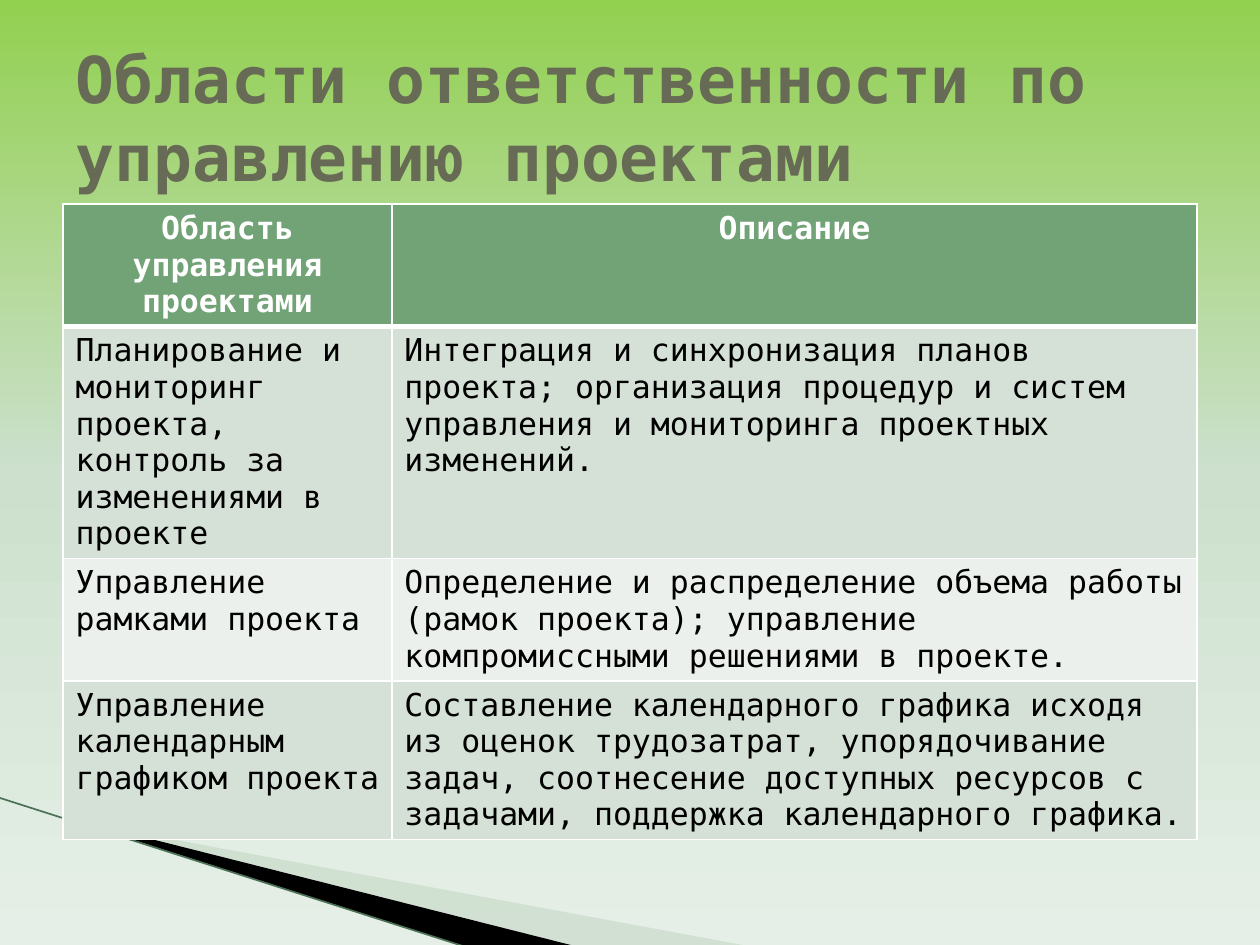
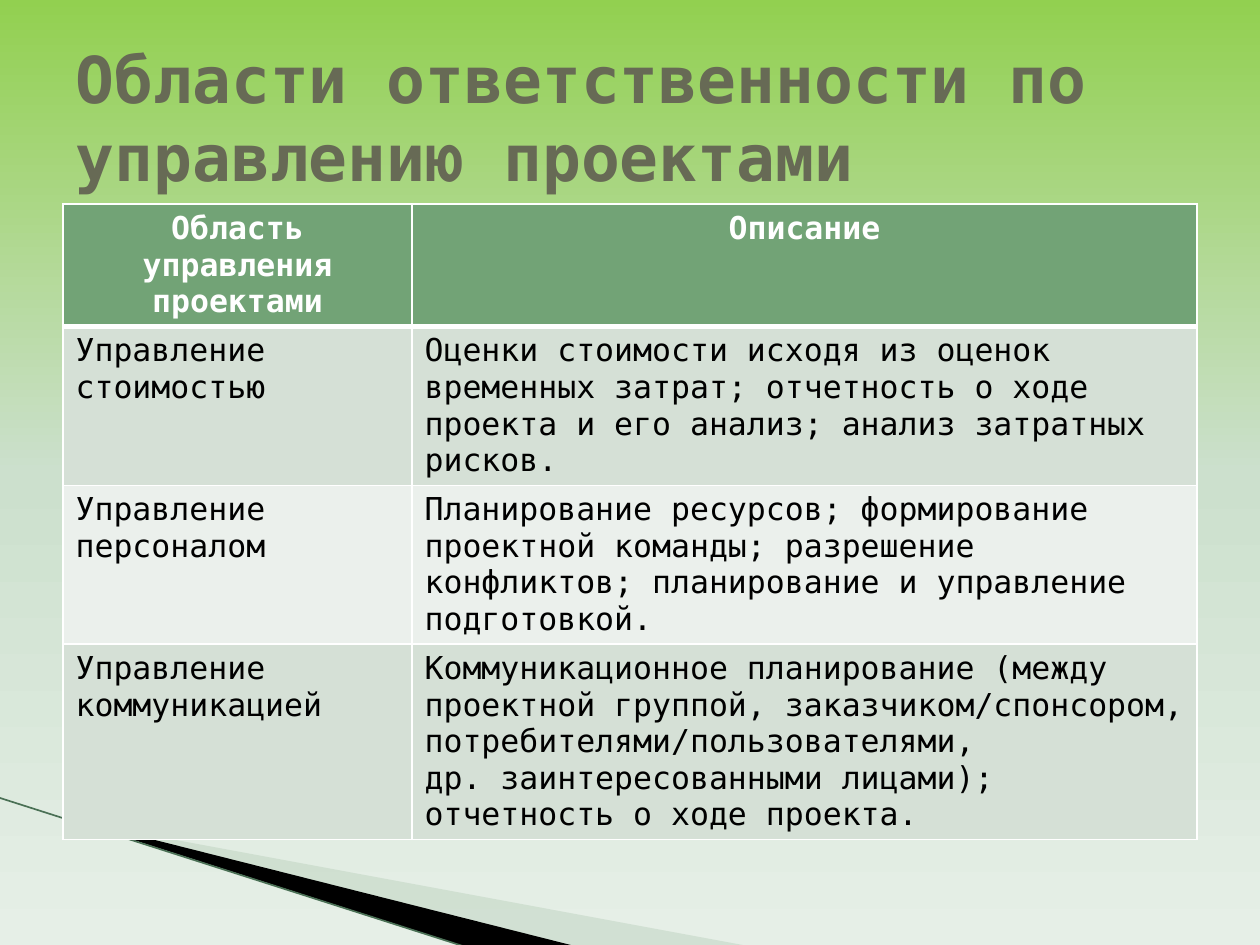
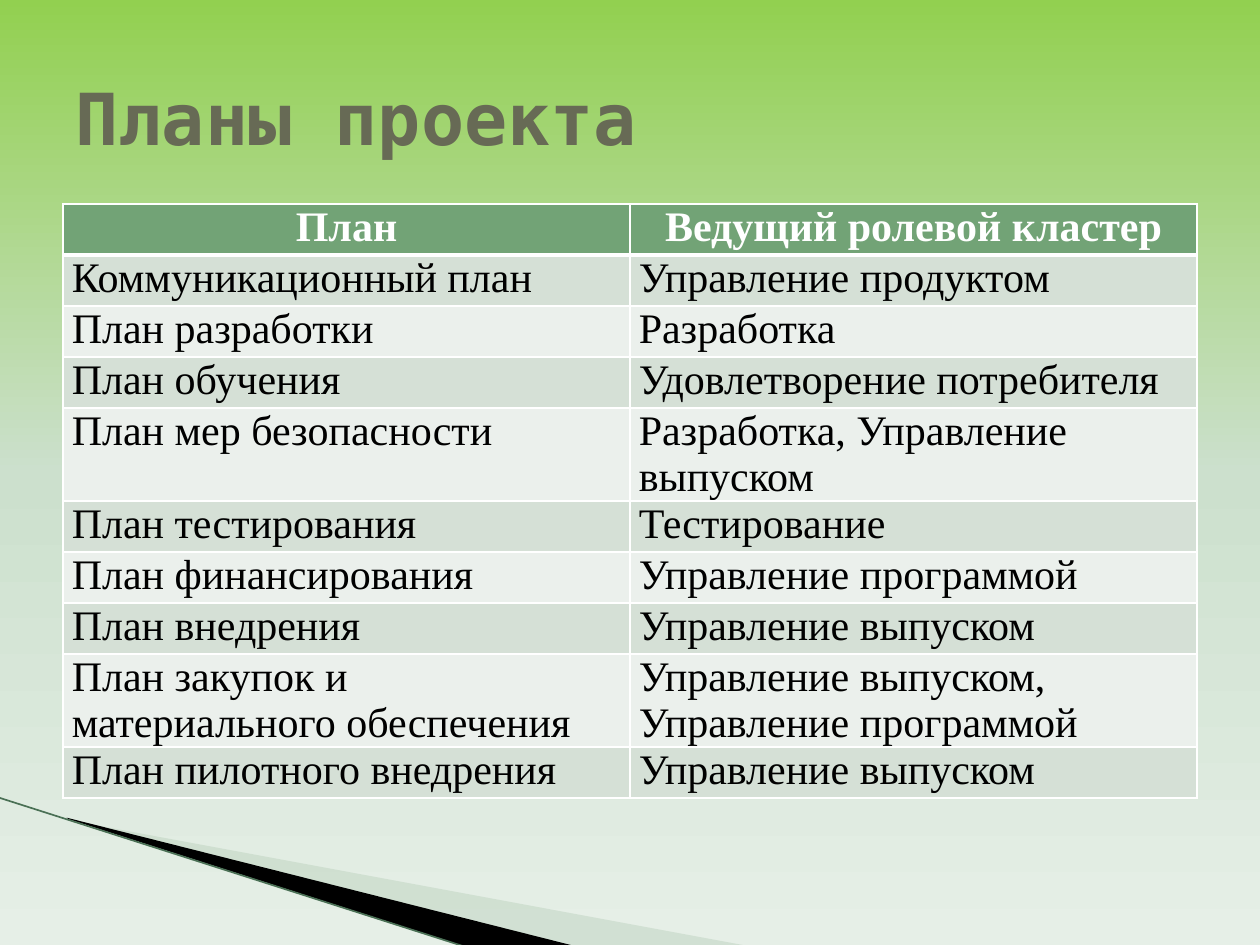
from copy import deepcopy
from dataclasses import dataclass

from lxml import etree
from pptx import Presentation
from pptx import util as u
from pptx.dml.color import RGBColor
from pptx.enum import shapes, text
from pptx.oxml import ns


@dataclass(frozen=True)
class Theme:
    mono: str = "DejaVu Sans Mono"
    serif: str = "Times New Roman"
    title: str = "676A55"
    head: str = "72A376"
    odd: str = "D5E0D6"
    even: str = "EBF0EC"
    white: str = "FFFFFF"
    black: str = "000000"
    wedge: str = "B3CBB5"
    edge: str = "4A7055"
    sky: tuple = ((0, "92D050"), (0.5, "CCE0CD"), (1, "E6EFE7"))
    large: float = 41
    medium: float = 36.9
    plan: float = 24
    body: float = 18


T = Theme()
HARD = chr(160)
AREAS = "Области ответственности по управлению проектами"
HEAD = ("Область управления проектами", "Описание")

SCOPE = (
    HEAD,
    ("Планирование и мониторинг проекта, контроль за изменениями в проекте",
     "Интеграция и синхронизация планов проекта; организация процедур и систем "
     "управления и мониторинга проектных изменений."),
    ("Управление рамками проекта",
     "Определение и распределение объема работы (рамок проекта); управление "
     "компромиссными решениями в проекте."),
    ("Управление календарным графиком проекта",
     "Составление календарного графика исходя из оценок трудозатрат, упорядочивание "
     "задач, соотнесение доступных ресурсов с задачами, поддержка календарного графика."),
)

COSTS = (
    HEAD,
    ("Управление стоимостью",
     "Оценки стоимости исходя из оценок временных затрат; отчетность о ходе проекта "
     "и его анализ; анализ затратных рисков."),
    ("Управление персоналом",
     "Планирование ресурсов; формирование проектной команды; разрешение конфликтов; "
     "планирование и управление подготовкой."),
    ("Управление коммуникацией",
     "Коммуникационное планирование (между проектной группой, заказчиком/спонсором, "
     f"потребителями/пользователями, др.{HARD}заинтересованными лицами); "
     f"отчетность о{HARD}ходе{HARD}проекта."),
)

PLANS = (
    ("План", "Ведущий ролевой кластер"),
    ("Коммуникационный план", "Управление продуктом"),
    ("План разработки", "Разработка"),
    ("План обучения", "Удовлетворение потребителя"),
    ("План мер безопасности", "Разработка, Управление выпуском"),
    ("План тестирования", "Тестирование"),
    ("План финансирования", "Управление программой"),
    ("План внедрения", "Управление выпуском"),
    ("План закупок и материального обеспечения",
     "Управление выпуском, Управление программой"),
    ("План пилотного внедрения", "Управление выпуском"),
)


def rgb(color):
    return RGBColor.from_string(color)


def write(frame, words, size, font=T.mono, color=T.black, bold=False,
          align=text.PP_ALIGN.LEFT, after=0):
    frame.text = words
    para = frame.paragraphs[0]
    para.alignment = align
    para.space_after = u.Pt(after)
    style = para.runs[0].font
    style.name, style.size, style.bold = font, u.Pt(size), bold
    style.color.rgb = rgb(color)


def paint(layout):
    fill = layout.background.fill
    fill.gradient()
    fill.gradient_angle = 270
    stops = layout.element.find(".//" + ns.qn("a:gsLst"))
    stops.append(deepcopy(stops[-1]))
    for stop, (place, color) in zip(fill.gradient_stops, T.sky):
        stop.position = place
        stop.color.rgb = rgb(color)


def reframe(shape, box):
    left, top, width, height = map(u.Inches, box)
    right, down = shape.left - left, shape.top - top
    outline = shape.element.spPr.find(".//" + ns.qn("a:path"))
    outline.set("w", str(width))
    outline.set("h", str(height))
    for dot in outline.iter(ns.qn("a:pt")):
        dot.set("x", str(int(dot.get("x")) + right))
        dot.set("y", str(int(dot.get("y")) + down))
    shape.left, shape.top, shape.width, shape.height = left, top, width, height


def wedge(slide, box, points, color, alpha=None):
    dots = [(u.Inches(x), u.Inches(y)) for x, y in points]
    maker = slide.shapes.build_freeform(*dots[0])
    maker.add_line_segments(dots[1:], close=True)
    shape = maker.convert_to_shape()
    reframe(shape, box)
    shape.shadow.inherit = False
    shape.fill.solid()
    shape.fill.fore_color.rgb = rgb(color)
    shape.line.fill.background()
    if alpha:
        tint = shape.element.spPr.find(".//" + ns.qn("a:srgbClr"))
        etree.SubElement(tint, ns.qn("a:alpha"), val=str(alpha * 1000))
    return shape


def rule(slide, start, end, color, width):
    line = slide.shapes.add_connector(
        shapes.MSO_CONNECTOR.STRAIGHT, *map(u.Inches, start + end))
    line.line.color.rgb = rgb(color)
    line.line.width = u.Pt(width)
    etree.SubElement(line.element.spPr, ns.qn("a:effectLst"))
    return line


def decor(slide):
    layout = slide.slide_layout
    paint(layout)
    parts = (
        wedge(slide, (0.78, 5.47, 4.16, 1.58),
              ((0.55, 6.51), (5.95, 7.51), (4.56, 7.51), (0.55, 6.5)), T.wedge, 40),
        wedge(slide, (-0.06, 6.33, 4.16, 0.92),
              ((0.53, 6.49), (4.57, 7.51), (3.72, 7.52), (0.54, 6.5)), T.black),
        rule(slide, (-0.01, 6.33), (3.71, 7.52), T.edge, 0.95),
    )
    for part in parts:
        layout.shapes.element.append(part.element)


def title(slide, words, size):
    box = slide.shapes.title
    box.left, box.top, box.width, box.height = map(u.Inches, (0.5, 0.3, 9, 1.25))
    frame = box.text_frame
    frame.word_wrap = True
    frame.auto_size = text.MSO_AUTO_SIZE.NONE
    frame.vertical_anchor = text.MSO_ANCHOR.MIDDLE
    write(frame, words, size, color=T.title, bold=True)


def border(cell, row):
    widths = {"L": 1, "R": 1, "T": 3 if row == 1 else 1, "B": 3 if row == 0 else 1}
    props = cell._tc.get_or_add_tcPr()
    for side, width in widths.items():
        line = etree.SubElement(props, ns.qn("a:ln" + side), w=str(u.Pt(width)))
        fill = etree.SubElement(line, ns.qn("a:solidFill"))
        etree.SubElement(fill, ns.qn("a:srgbClr"), val=T.white)


def grid(slide, rows, cols, height, size, font=T.mono, after=0, inset=None):
    frame = slide.shapes.add_table(
        len(rows), len(cols), *map(u.Inches, (0.5, 1.62, 9, height)))
    table = frame.table
    for col, width in zip(table.columns, cols):
        col.width = u.Inches(width)
    for r, words in enumerate(rows):
        table.rows[r].height = u.Inches(0.81) // 2
        top = r == 0
        for c, word in enumerate(words):
            cell = table.cell(r, c)
            border(cell, r)
            cell.fill.solid()
            cell.fill.fore_color.rgb = rgb(T.head if top else T.odd if r % 2 else T.even)
            if inset:
                cell.margin_left = cell.margin_right = u.Inches(inset)
                cell.margin_top = cell.margin_bottom = 0
            write(cell.text_frame, word, size, font=font, bold=top, after=after,
                  color=T.white if top else T.black,
                  align=text.PP_ALIGN.CENTER if top else text.PP_ALIGN.LEFT)
    frame.height = u.Inches(height)


def main():
    deck = Presentation()
    deck.slide_width, deck.slide_height = u.Inches(10), u.Inches(7.5)
    layout = deck.slide_layouts[5]
    scope, costs, plans = [deck.slides.add_slide(layout) for _ in range(3)]
    decor(scope)

    title(scope, AREAS, T.medium)
    grid(scope, SCOPE, (2.61, 6.39), 4.9, T.body)

    title(costs, AREAS, T.medium)
    grid(costs, COSTS, (2.77, 6.23), 4.3, T.body)

    title(plans, "Планы проекта", T.large)
    grid(plans, PLANS, (4.5, 4.5), 4.84, T.plan, font=T.serif, after=6, inset=0.07)

    deck.save("out.pptx")


if __name__ == "__main__":
    main()
